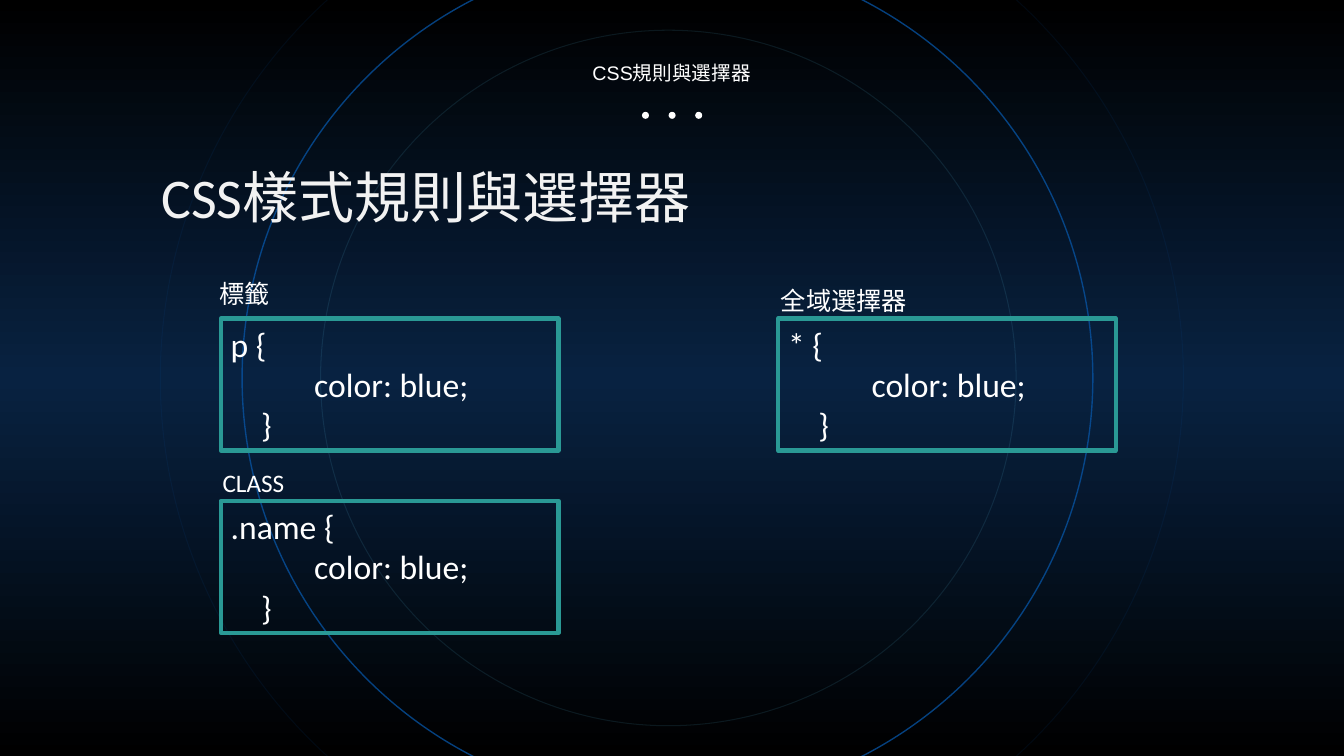
import copy

import pptx
import pptx.util
import pptx.dml.color
import pptx.enum.shapes
import pptx.enum.text
import pptx.oxml
import pptx.oxml.ns

Pt = pptx.util.Pt
MSO_SHAPE = pptx.enum.shapes.MSO_SHAPE
PP_ALIGN = pptx.enum.text.PP_ALIGN
MSO_ANCHOR = pptx.enum.text.MSO_ANCHOR
qn = pptx.oxml.ns.qn

COLORS = {
    "black": "000000",
    "navy": "082241",
    "white": "FFFFFF",
    "off_white": "F2F2F2",
    "blue": "0756A7",
    "cyan": "65D3F6",
    "teal": "2A9995",
}


def rgb(name):
    return pptx.dml.color.RGBColor.from_string(COLORS[name])


def write(shape, lines, size, font="Calibri", color="white", align=PP_ALIGN.LEFT):
    """Fill a shape with one paragraph per line, all in one style."""
    frame = shape.text_frame
    frame.word_wrap = True
    frame.vertical_anchor = MSO_ANCHOR.TOP
    for index, line in enumerate(lines):
        paragraph = frame.add_paragraph() if index else frame.paragraphs[0]
        paragraph.text = line
        paragraph.alignment = align
        paragraph.font.size = Pt(size)
        paragraph.font.name = font
        paragraph.font.color.rgb = rgb(color)


deck = pptx.Presentation()
deck.slide_width, deck.slide_height = Pt(960), Pt(540)
slide = deck.slides.add_slide(deck.slide_layouts[5])
shapes = slide.shapes

# Background: dark edges, navy band in the middle
background = slide.background.fill
background.gradient()
background.gradient_angle = 90
stop_list = slide.element.find(".//" + qn("a:gsLst"))
middle_stop = copy.deepcopy(stop_list[0])
middle_stop.set("pos", "50000")
stop_list.insert(1, middle_stop)
for stop, color in zip(background.gradient_stops, ("black", "navy", "black")):
    stop.color.rgb = rgb(color)

# Chapter heading with three dots
chapter = shapes.add_textbox(Pt(339.8), Pt(40.3), Pt(280), Pt(24.5))
write(chapter, ["CSS規則與選擇器"], 14, font="Arial", align=PP_ALIGN.CENTER)

dots = shapes.add_group_shape()
for column in range(3):
    dot = dots.shapes.add_shape(
        MSO_SHAPE.OVAL, Pt(458.6 + 19 * column), Pt(79.9), Pt(5), Pt(5))
    dot.shadow.inherit = False
    dot.fill.solid()
    dot.fill.fore_color.rgb = rgb("white")
    dot.line.fill.background()

# Rings: centre x, diameter, colour, line width, opacity in percent
RINGS = [
    (476.8, 607.7, "blue", 1, 74),
    (477.4, 496.8, "cyan", 0.75, 11),
    (479.9, 730.8, "blue", 0.75, 10),
]
for center, diameter, color, width, opacity in RINGS:
    ring = shapes.add_shape(
        MSO_SHAPE.OVAL, Pt(center - diameter / 2), Pt(270 - diameter / 2),
        Pt(diameter), Pt(diameter))
    ring.shadow.inherit = False
    ring.fill.background()
    ring.line.color.rgb = rgb(color)
    ring.line.width = Pt(width)
    ring_color = ring.line._get_or_add_ln().find(".//" + qn("a:srgbClr"))
    alpha = pptx.oxml.parse_xml(
        f'<a:alpha {pptx.oxml.ns.nsdecls("a")} val="{opacity * 1000}"/>')
    ring_color.append(alpha)

# Title, brought in front of the rings
title = shapes.title
title.left, title.top, title.width, title.height = Pt(108), Pt(112.3), Pt(593.3), Pt(55.4)
write(title, ["CSS樣式規則與選擇器"], 40, color="off_white")
title.text_frame.auto_size = pptx.enum.text.MSO_AUTO_SIZE.NONE
title_element = title.element
title_element.getparent().append(title_element)

# Selectors: label, label left, top and width, selector, box left and top
SELECTORS = [
    ("標籤", 149.8, 195.1, 51.1, "p", 157.7, 227.5),
    ("CLASS", 151.9, 330.5, 59, ".name", 157.7, 357.8),
    ("全域選擇器", 550.8, 200.2, 105.1, "*", 555.8, 227.5),
]
for label, label_left, label_top, label_width, selector, left, top in SELECTORS:
    rule = shapes.add_shape(MSO_SHAPE.RECTANGLE, Pt(left), Pt(top), Pt(241.2), Pt(94.3))
    rule.shadow.inherit = False
    rule.fill.background()
    rule.line.color.rgb = rgb("teal")
    rule.line.width = Pt(3)
    write(rule, [selector + " {", "           color: blue;", "    }"], 24)

    caption = shapes.add_textbox(Pt(label_left), Pt(label_top), Pt(label_width), Pt(29))
    write(caption, [label], 18)
    caption.text_frame.word_wrap = False

deck.save("out.pptx")
